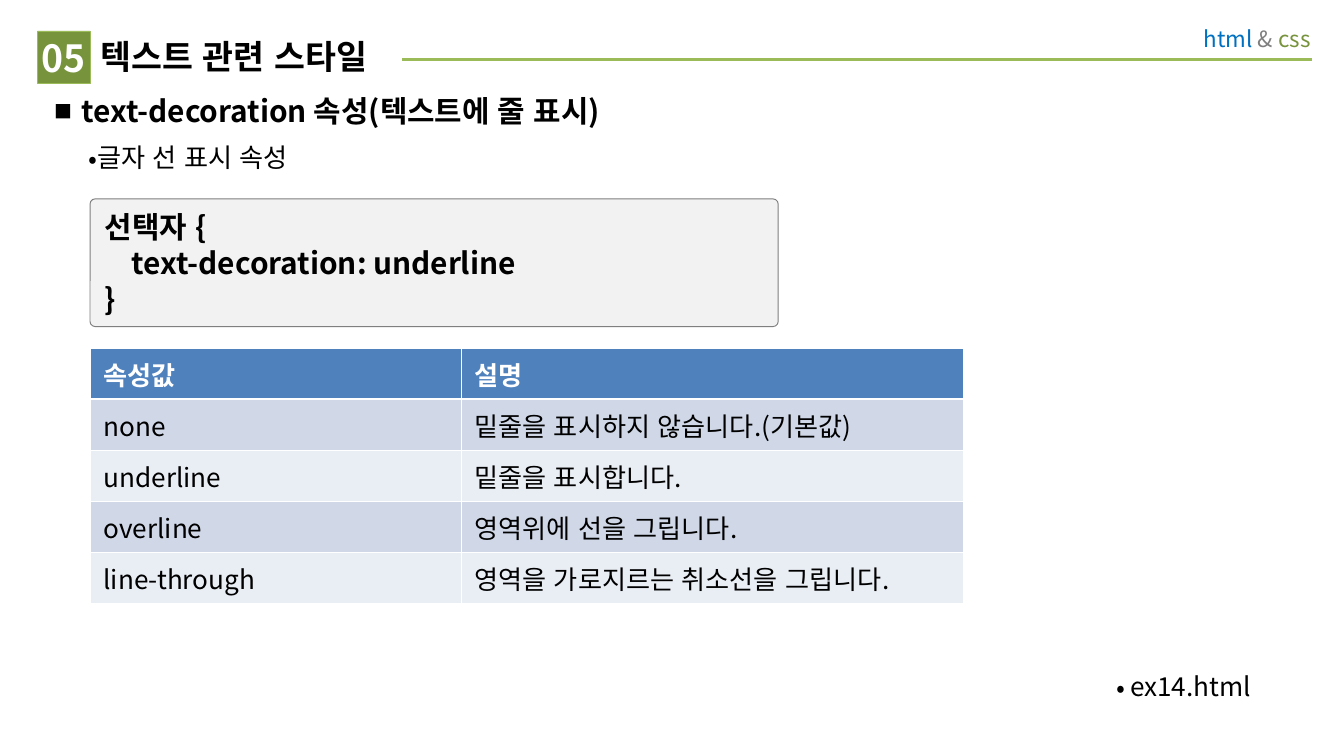
import pptx
import pptx.dml.color
import pptx.enum.lang
import pptx.enum.shapes
import pptx.enum.text
import pptx.oxml
import pptx.oxml.ns
import pptx.util
from dataclasses import dataclass
from pptx.util import Inches


@dataclass(frozen=True)
class Theme:
    font: str = "Noto Sans CJK KR"
    black: str = "000000"
    white: str = "FFFFFF"
    blue: str = "0070C0"
    gray: str = "7F7F7F"
    green: str = "77933C"
    light_green: str = "9BBB59"
    code_fill: str = "F2F2F2"
    header_fill: str = "4F81BD"
    bands: tuple = ("D0D8E8", "E9EDF4")
    number: int = 20
    title: int = 18
    heading: int = 16
    text: int = 14
    small: int = 12


theme = Theme()
rgb = pptx.dml.color.RGBColor.from_string
qn = pptx.oxml.ns.qn
ANCHOR = pptx.enum.text.MSO_ANCHOR
ALIGN = pptx.enum.text.PP_ALIGN
SHAPE = pptx.enum.shapes.MSO_SHAPE


def add_run(paragraph, text, size, color=theme.black, bold=False):
    run = paragraph.add_run()
    run.text = text
    run.font.size = pptx.util.Pt(size)
    run.font.bold = bold
    run.font.color.rgb = rgb(color)
    run.font.name = theme.font
    run.font.language_id = pptx.enum.lang.MSO_LANGUAGE_ID.KOREAN
    properties = run._r.get_or_add_rPr()
    properties.append(properties.makeelement(qn("a:ea"), {"typeface": theme.font}))


def set_frame(shape, margins, anchor=ANCHOR.TOP):
    frame = shape.text_frame
    frame.word_wrap = True
    frame.vertical_anchor = anchor
    frame.margin_left, frame.margin_top, frame.margin_right, frame.margin_bottom = (
        Inches(margin) for margin in margins)
    return frame


presentation = pptx.Presentation()
presentation.slide_width = Inches(10)
presentation.slide_height = Inches(10) * 9 // 16
slide = presentation.slides.add_slide(presentation.slide_layouts[6])
shapes = slide.shapes

# Header rule
rule = shapes.add_connector(pptx.enum.shapes.MSO_CONNECTOR.STRAIGHT,
                            Inches(9.76), Inches(0.44), Inches(0.71), Inches(0.44))
rule.line.color.rgb = rgb(theme.light_green)
rule.line.width = pptx.util.Pt(1.5)
rule._element.spPr.append(rule._element.makeelement(qn("a:effectLst")))

# Course name
course = shapes.add_textbox(Inches(8.31), Inches(0.11), Inches(1.54), Inches(0.36))
paragraph = set_frame(course, (0.1, 0.08, 0.1, 0.08)).paragraphs[0]
paragraph.alignment = ALIGN.RIGHT
for text, color in (("html ", theme.blue), ("& ", theme.gray), ("css", theme.green)):
    add_run(paragraph, text, theme.small, color)

# Title, whose white fill hides the left part of the rule
title = shapes.add_textbox(Inches(0.67), Inches(0.23), Inches(2.32), Inches(0.39))
title.fill.solid()
title.fill.fore_color.rgb = rgb(theme.white)
paragraph = set_frame(title, (0.08, 0.04, 0, 0.04)).paragraphs[0]
add_run(paragraph, "텍스트 관련 스타일", theme.title, bold=True)

# Chapter number and code panel
panels = (
    (SHAPE.RECTANGLE, (0.28, 0.23, 0.39, 0.39), theme.green, theme.light_green, 0.25,
     (0, 0, 0, 0), ALIGN.CENTER, theme.number, theme.white, ["05"]),
    (SHAPE.ROUNDED_RECTANGLE, (0.67, 1.48, 5.12, 0.95), theme.code_fill, theme.gray, 0.5,
     (0.1, 0.05, 0.1, 0.05), ALIGN.LEFT, theme.heading, theme.black,
     ["선택자 {", "    text-decoration: underline", "}"]),
)
for kind, box, fill, line, width, margins, alignment, size, color, lines in panels:
    panel = shapes.add_shape(kind, *(Inches(length) for length in box))
    panel.shadow.inherit = False
    panel.fill.solid()
    panel.fill.fore_color.rgb = rgb(fill)
    panel.line.color.rgb = rgb(line)
    panel.line.width = pptx.util.Pt(width)
    if kind == SHAPE.ROUNDED_RECTANGLE:
        panel.adjustments[0] = 0.04
    frame = set_frame(panel, margins, ANCHOR.MIDDLE)
    for index, text in enumerate(lines):
        paragraph = frame.add_paragraph() if index else frame.paragraphs[0]
        paragraph.alignment = alignment
        add_run(paragraph, text, size, color, bold=True)

# Bulleted lines: heading, sub-point, example file
bullets = (
    ((0.31, 0.64, 9.45, 0.52), "■", 60, 0.2, 0.2, theme.heading, True,
     "text-decoration 속성(텍스트에 줄 표시)"),
    ((0.31, 1, 9.45, 0.39), "•", 100, 0.29, 0.04, theme.text, False, "글자 선 표시 속성"),
    ((8.21, 4.94, 1.21, 0.34), "•", 100, 0.1, 0.1, theme.text, False, "ex14.html"),
)
for box, character, percent, left, hanging, size, bold, text in bullets:
    textbox = shapes.add_textbox(*(Inches(length) for length in box))
    frame = set_frame(textbox, (0.1, 0.05, 0.1, 0.05))
    frame.word_wrap = box[2] > 2
    paragraph = frame.paragraphs[0]
    properties = paragraph._p.get_or_add_pPr()
    properties.set("marL", str(Inches(left)))
    properties.set("indent", str(-Inches(hanging)))
    for tag, attributes in (("a:buSzPct", {"val": str(percent * 1000)}),
                            ("a:buFont", {"typeface": theme.font}),
                            ("a:buChar", {"char": character})):
        properties.append(properties.makeelement(qn(tag), attributes))
    add_run(paragraph, text, size, bold=bold)

# Table of values
rows = (
    ("속성값", "설명"),
    ("none", "밑줄을 표시하지 않습니다.(기본값)"),
    ("underline", "밑줄을 표시합니다."),
    ("overline", "영역위에 선을 그립니다."),
    ("line-through", "영역을 가로지르는 취소선을 그립니다."),
)
row_height = Inches(0.38)
table = shapes.add_table(len(rows), 2, Inches(0.67), Inches(2.59),
                         Inches(6.5), row_height * len(rows)).table
for column, width in zip(table.columns, (2.76, 3.74)):
    column.width = Inches(width)
for row_index, row in enumerate(rows):
    table.rows[row_index].height = row_height
    header = row_index == 0
    for column_index, text in enumerate(row):
        cell = table.cell(row_index, column_index)
        cell_properties = cell._tc.get_or_add_tcPr()
        for side in "LRTB":
            thick = (row_index, side) in ((0, "B"), (1, "T"))
            width = pptx.util.Pt(1.5 if thick else 0.5)
            cell_properties.append(pptx.oxml.parse_xml(
                f'<a:ln{side} {pptx.oxml.ns.nsdecls("a")} w="{width}"><a:solidFill>'
                f'<a:srgbClr val="{theme.white}"/></a:solidFill></a:ln{side}>'))
        cell.fill.solid()
        cell.fill.fore_color.rgb = rgb(
            theme.header_fill if header else theme.bands[(row_index - 1) % 2])
        add_run(cell.text_frame.paragraphs[0], text, theme.text,
                theme.white if header else theme.black, header)

presentation.save("out.pptx")
